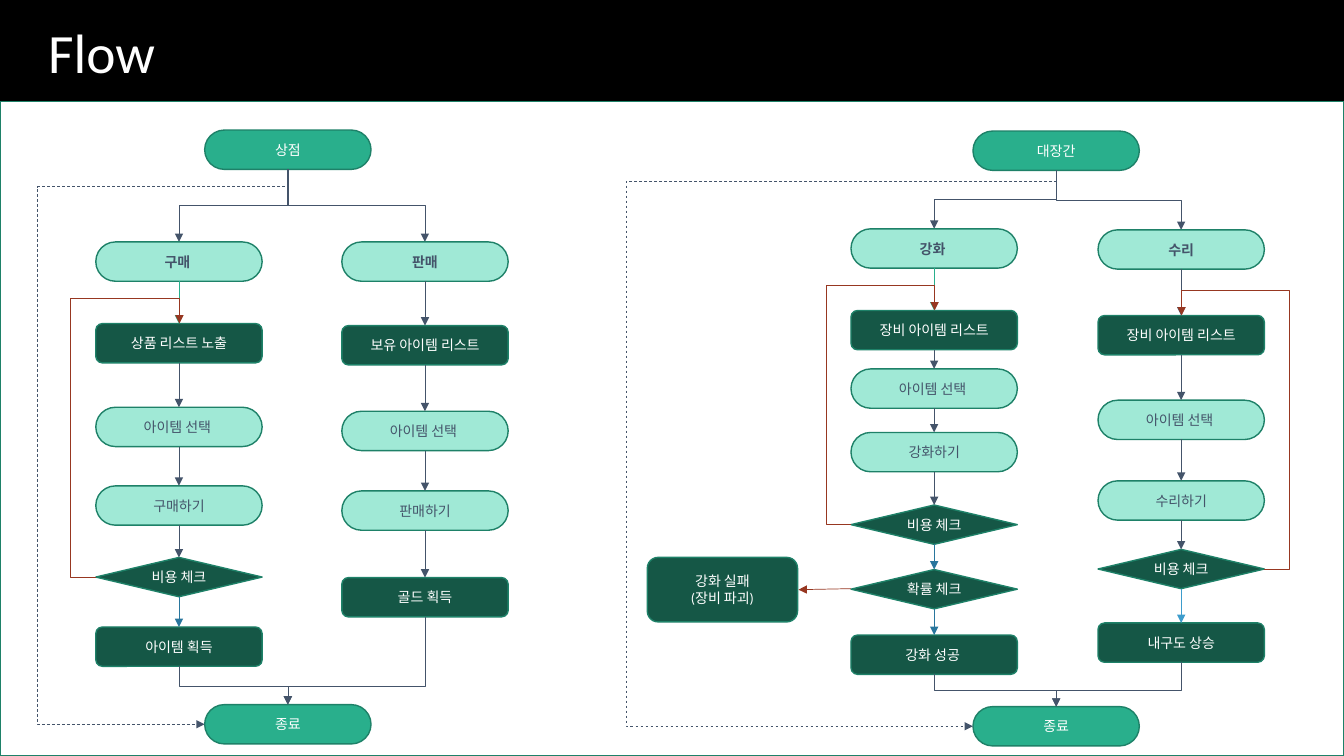
from lxml import etree
from pptx import Presentation
from pptx.dml.color import RGBColor
from pptx.enum import dml, shapes, text
from pptx.oxml import ns
from pptx.util import Inches, Pt

WIDTH, HEIGHT = 1.65, 0.39
SLATE, RED, BLUE, GREEN = "44546A", "973721", "29769D", "29AF8C"
STYLES = {
    "end": (shapes.MSO_SHAPE.ROUNDED_RECTANGLE, 0.5, GREEN, "FFFFFF"),
    "menu": (shapes.MSO_SHAPE.ROUNDED_RECTANGLE, 0.5, "A0E9D6", SLATE),
    "action": (shapes.MSO_SHAPE.ROUNDED_RECTANGLE, 0.5, "A0E9D6", SLATE),
    "screen": (shapes.MSO_SHAPE.ROUNDED_RECTANGLE, 0.167, "155746", "FFFFFF"),
    "check": (shapes.MSO_SHAPE.FLOWCHART_DECISION, None, "155746", "FFFFFF"),
    "panel": (shapes.MSO_SHAPE.RECTANGLE, None, "FFFFFF", SLATE),
}
color = RGBColor.from_string

presentation = Presentation()
presentation.slide_width, presentation.slide_height = Inches(13.33), Inches(7.5)
slide = presentation.slides.add_slide(presentation.slide_layouts[6])
slide.background.fill.solid()
slide.background.fill.fore_color.rgb = color("000000")


def add_node(kind, label, left, top, width=WIDTH, height=HEIGHT):
    preset, rounding, fill, ink = STYLES[kind]
    shape = slide.shapes.add_shape(
        preset, Inches(left), Inches(top), Inches(width), Inches(height))
    if rounding:
        shape.adjustments[0] = rounding
    shape.shadow.inherit = False
    shape.fill.solid()
    shape.fill.fore_color.rgb = color(fill)
    shape.line.color.rgb = color("1E8168")
    shape.line.width = Pt(1)
    frame = shape.text_frame
    frame.margin_left = frame.margin_right = 0
    frame.vertical_anchor = text.MSO_ANCHOR.MIDDLE
    frame.text = label
    for paragraph in frame.paragraphs:
        paragraph.alignment = text.PP_ALIGN.CENTER
        paragraph.font.name = "Calibri"
        paragraph.font.size = Pt(10)
        paragraph.font.bold = kind == "menu"
        paragraph.font.color.rgb = color(ink)


def add_arrow(start, end, line_color=SLATE, ratios=(), downward=False, dashed=False):
    (x1, y1), (x2, y2) = start, end
    if downward:
        center_x, center_y = (x1 + x2) / 2, (y1 + y2) / 2
        half_width, half_height = (y2 - y1) / 2, abs(x2 - x1) / 2
        side = 1 if x2 < x1 else -1
        x1, x2 = center_x - side * half_width, center_x + side * half_width
        y1, y2 = center_y - half_height, center_y + half_height
    kind = shapes.MSO_CONNECTOR.ELBOW if ratios else shapes.MSO_CONNECTOR.STRAIGHT
    connector = slide.shapes.add_connector(
        kind, Inches(x1), Inches(y1), Inches(x2), Inches(y2))
    if downward:
        connector.rotation = 90 if side == 1 else 270
    connector.line.color.rgb = color(line_color)
    connector.line.width = Pt(0.5)
    if dashed:
        connector.line.dash_style = dml.MSO_LINE.DASH
    properties = connector._element.spPr
    if ratios:
        geometry = properties.find(ns.qn("a:prstGeom"))
        geometry.set("prst", f"bentConnector{len(ratios) + 2}")
        guides = geometry.find(ns.qn("a:avLst"))
        for number, ratio in enumerate(ratios, 1):
            etree.SubElement(guides, ns.qn("a:gd"), name=f"adj{number}",
                             fmla=f"val {round(ratio * 100000)}")
    etree.SubElement(properties.find(ns.qn("a:ln")), ns.qn("a:tailEnd"), type="triangle")
    etree.SubElement(properties, ns.qn("a:effectLst"))


add_node("panel", "", 0, 1.01, 13.33, 6.49)
title = slide.shapes.add_textbox(Inches(0.38), Inches(0.19), Inches(11.68), Inches(0.72))
title.text_frame.word_wrap = True
title.text_frame.vertical_anchor = text.MSO_ANCHOR.MIDDLE
title.text_frame.text = "Flow"
heading = title.text_frame.paragraphs[0]
heading.line_spacing = 0.9
heading.font.name = "Calibri"
heading.font.size = Pt(39.6)
heading.font.color.rgb = color("FFFFFF")

buy = [
    ("menu", "구매 ", 2.4, SLATE), ("screen", "상품 리스트 노출", 3.21, GREEN),
    ("action", "아이템 선택 ", 4.04, SLATE), ("action", "구매하기", 4.82, SLATE),
    ("check", "비용 체크", 5.53, SLATE), ("screen", "아이템 획득", 6.22, BLUE),
]
sell = [
    ("menu", "판매", 2.4, SLATE), ("screen", "보유 아이템 리스트", 3.23, SLATE),
    ("action", "아이템 선택 ", 4.08, SLATE), ("action", "판매하기", 4.87, SLATE),
    ("screen", "골드 획득", 5.73, SLATE),
]
enhance = [
    ("menu", "강화 ", 2.27, SLATE), ("screen", "장비 아이템 리스트", 3.08, GREEN),
    ("action", "아이템 선택 ", 3.66, SLATE), ("action", "강화하기", 4.29, SLATE),
    ("check", "비용 체크", 5.01, SLATE), ("check", "확률 체크", 5.65, BLUE),
    ("screen", "강화 성공 ", 6.3, BLUE),
]
repair = [
    ("menu", "수리", 2.28, SLATE), ("screen", "장비 아이템 리스트", 3.13, SLATE),
    ("action", "아이템 선택 ", 3.97, SLATE), ("action", "수리하기", 4.77, SLATE),
    ("check", "비용 체크", 5.45, SLATE), ("screen", "내구도 상승", 6.18, "3D9CCC"),
]
flows = [
    ("상점", 2.03, 1.29, 6.99, 6.81, (0.37, 1.85), [(0.95, buy), (3.39, sell)]),
    ("대장간", 9.65, 1.3, 7.01, 6.85, (6.21, 1.8), [(8.44, enhance), (10.89, repair)]),
]
for name, left, top, finish, merge, (exit_x, exit_y), columns in flows:
    center, bottom = left + WIDTH / 2, top + HEIGHT
    add_node("end", name, left, top)
    add_node("end", "종료", left, finish)
    finish_middle = finish + HEIGHT / 2
    exit_ratios = ((exit_y - bottom) / (finish_middle - bottom),
                   (center - exit_x) / (WIDTH / 2))
    add_arrow((center, bottom), (left, finish_middle), ratios=exit_ratios,
              downward=True, dashed=True)
    for column_left, steps in columns:
        middle = column_left + WIDTH / 2
        add_arrow((center, bottom), (middle, steps[0][2]), ratios=(0.5,), downward=True)
        for kind, label, step_top, _ in steps:
            add_node(kind, label, column_left, step_top)
        for above, below in zip(steps, steps[1:]):
            add_arrow((middle, above[2] + HEIGHT), (middle, below[2]), below[3])
        last = steps[-1][2] + HEIGHT
        add_arrow((middle, last), (center, finish),
                  ratios=((merge - last) / (finish - last),), downward=True)

for edge, middle, check_top, list_top in [
        (0.95, 1.78, 5.53, 3.21), (8.44, 9.27, 5.01, 3.08), (12.54, 11.72, 5.45, 3.13)]:
    check_middle = check_top + HEIGHT / 2
    add_arrow((edge, check_middle), (middle, list_top), RED,
              (-0.3, 1 + 0.25 / (check_middle - list_top)))

add_node("screen", "강화 실패\n(장비 파괴)", 6.42, 5.53, 1.49, 0.64)
add_arrow((8.44, 5.84), (7.92, 5.85), RED)

presentation.save("out.pptx")
